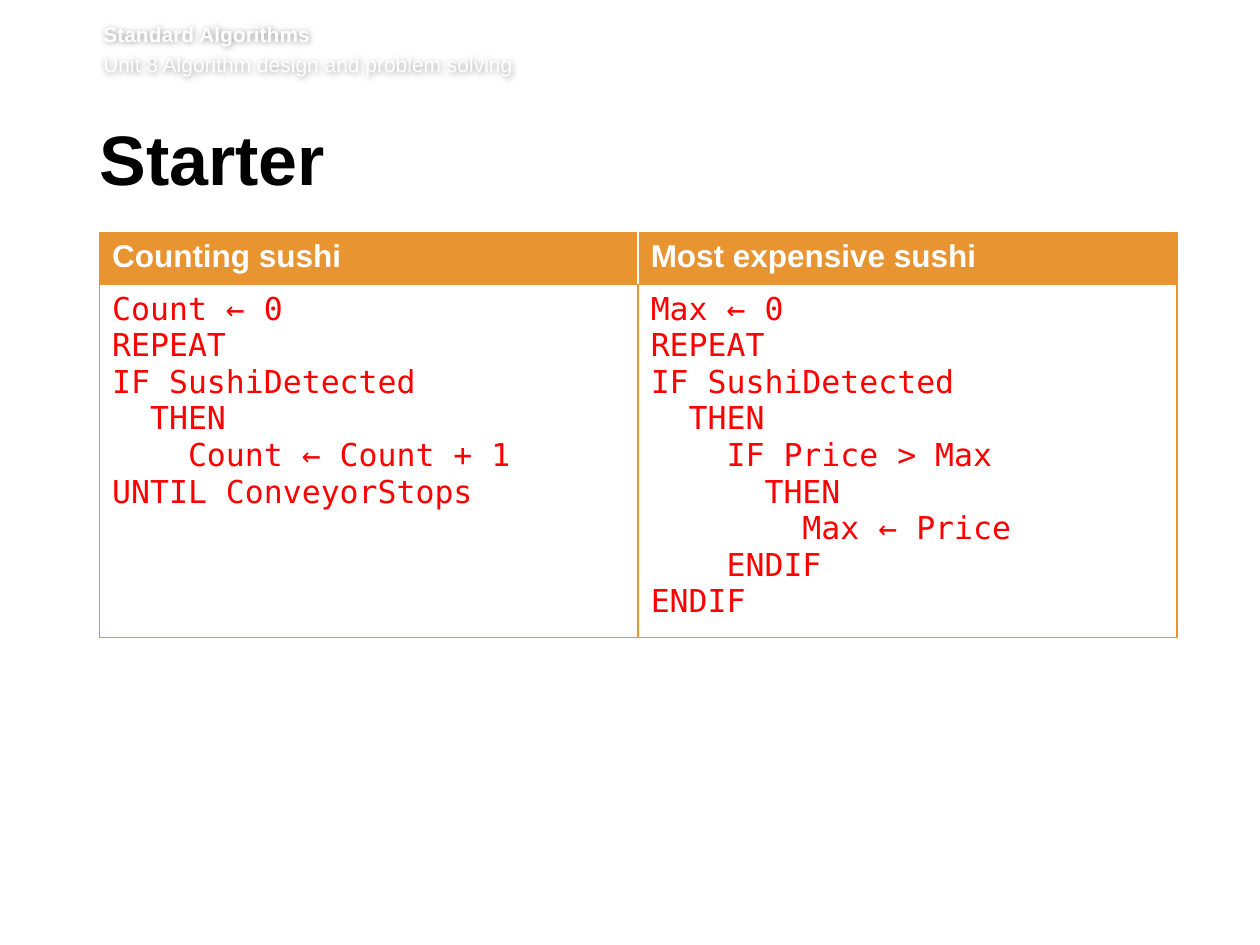
from pptx import Presentation
from pptx.dml.color import RGBColor
from pptx.enum.text import MSO_ANCHOR, PP_ALIGN
from pptx.oxml import parse_xml
from pptx.oxml.ns import nsdecls
from pptx.util import Inches, Pt

COLORS = {"orange": "E89431", "white": "FFFFFF", "black": "000000", "red": "FF0000"}
HEADER = ["Standard Algorithms", "Unit 8 Algorithm design and problem solving"]
TITLE = "Starter"
ALGORITHMS = [
    ("Counting sushi", [
        "Count ← 0",
        "REPEAT",
        "IF SushiDetected",
        "  THEN",
        "    Count ← Count + 1",
        "UNTIL ConveyorStops",
    ]),
    ("Most expensive sushi", [
        "Max ← 0",
        "REPEAT",
        "IF SushiDetected",
        "  THEN",
        "    IF Price > Max",
        "      THEN",
        "        Max ← Price",
        "    ENDIF",
        "ENDIF",
    ]),
]
LEFT, WIDTH = 0.79, 8.55
ROW_HEIGHTS = [0.41, 2.8]


def format_runs(tf, font, size, color, bold=False):
    for p in tf.paragraphs:
        for r in p.runs:
            r.font.name = font
            r.font.size = Pt(size)
            r.font.bold = bold
            r.font.color.rgb = RGBColor.from_string(COLORS[color])


def set_margins(tf, right=0, top=0):
    tf.word_wrap = True
    tf.vertical_anchor = MSO_ANCHOR.TOP
    tf.margin_left, tf.margin_right = 0, Inches(right)
    tf.margin_top, tf.margin_bottom = Inches(top), Inches(0.05)


def add_header(s):
    box = s.shapes.add_textbox(Inches(0.82), Inches(0.17), Inches(8.82), Inches(0.49))
    tf = box.text_frame
    set_margins(tf)
    tf.text = "\n".join(HEADER)
    format_runs(tf, "Arial", 12, "white")
    tf.paragraphs[0].runs[0].font.bold = True
    tf.paragraphs[1].space_before = Pt(2.9)
    box._element.spPr.append(parse_xml(
        f'<a:effectLst {nsdecls("a")}><a:outerShdw blurRad="50800" dist="0" algn="ctr">'
        f'<a:srgbClr val="{COLORS["black"]}"><a:alpha val="40000"/></a:srgbClr>'
        '</a:outerShdw></a:effectLst>'))


def add_title(s):
    title = s.shapes.title
    title.left, title.top = Inches(LEFT), Inches(0.99)
    title.width, title.height = Inches(WIDTH), Inches(0.73)
    tf = title.text_frame
    set_margins(tf, right=0.1, top=0.05)
    tf.text = TITLE
    p = tf.paragraphs[0]
    p.alignment = PP_ALIGN.LEFT
    p.line_spacing, p.space_after = Pt(39), Pt(15)
    format_runs(tf, "Arial", 40, "black", True)


def style_cell(cell, fill, borders):
    tcPr = cell._tc.get_or_add_tcPr()
    for side, color in borders.items():
        tcPr.append(parse_xml(
            f'<a:ln{side} {nsdecls("a")} w="12700"><a:solidFill>'
            f'<a:srgbClr val="{COLORS[color]}"/></a:solidFill></a:ln{side}>'))
    cell.fill.solid()
    cell.fill.fore_color.rgb = RGBColor.from_string(COLORS[fill])


def add_algorithms(s):
    cols = len(ALGORITHMS)
    table = s.shapes.add_table(2, cols, Inches(LEFT), Inches(1.85),
                               Inches(WIDTH), Inches(sum(ROW_HEIGHTS))).table
    for row, height in zip(table.rows, ROW_HEIGHTS):
        row.height = Inches(height)
    for c, (name, code) in enumerate(ALGORITHMS):
        head, body = table.cell(0, c), table.cell(1, c)
        head.text, body.text = name, "\n".join(code)
        format_runs(head.text_frame, "Arial", 18, "white", True)
        format_runs(body.text_frame, "DejaVu Sans Mono", 18, "red")
        edges = dict.fromkeys("LRTB", "orange")
        inner = {"L": "white"} if c else {}
        if c < cols - 1:
            inner["R"] = "white"
        style_cell(head, "orange", edges | inner)
        style_cell(body, "white", edges)


def main():
    prs = Presentation()
    prs.slide_width, prs.slide_height = Inches(10), Inches(7.5)
    s = prs.slides.add_slide(prs.slide_layouts[5])
    add_header(s)
    add_title(s)
    add_algorithms(s)
    prs.save("out.pptx")


if __name__ == "__main__":
    """Build the sushi algorithms starter slide."""
    main()
